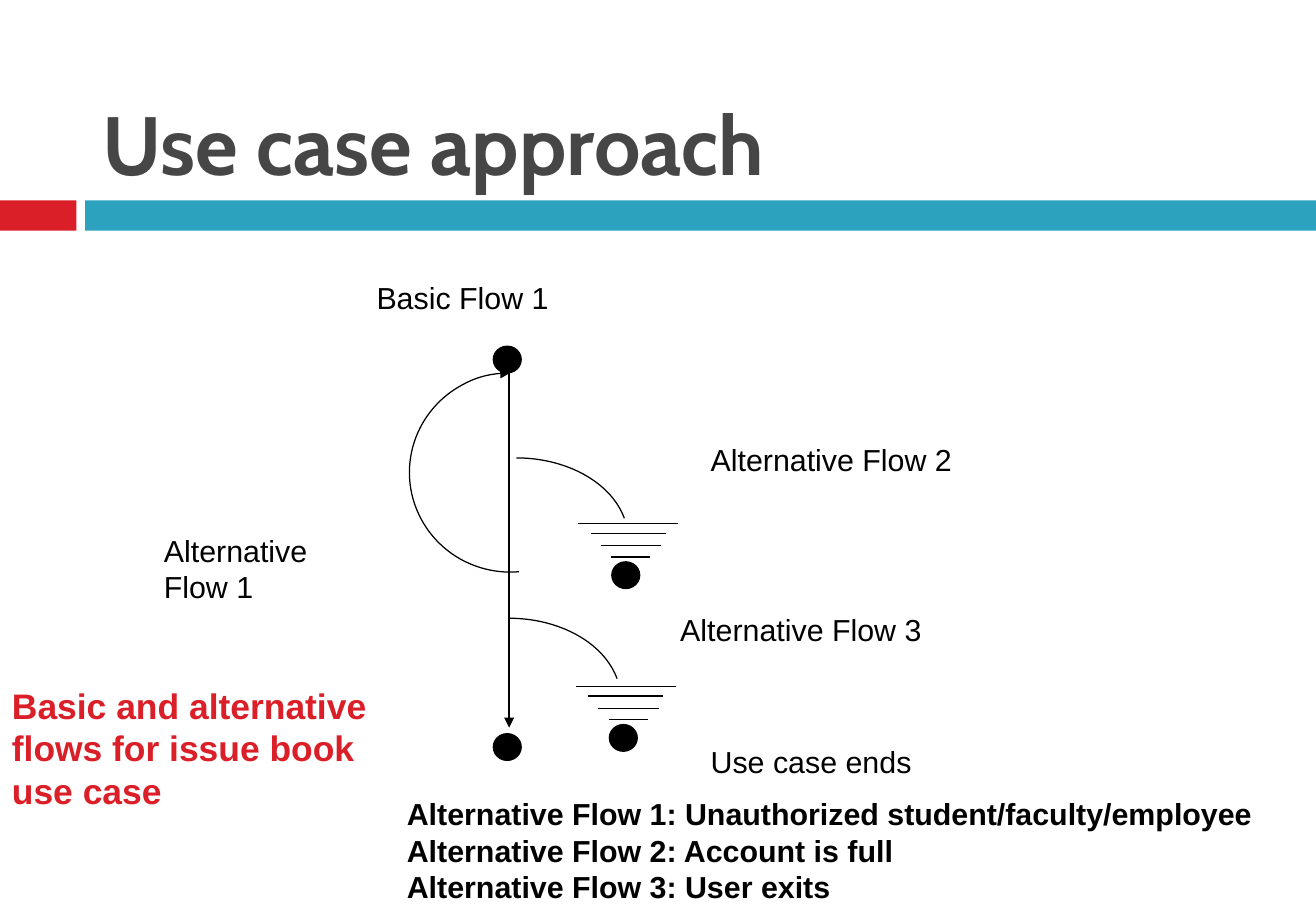
from dataclasses import dataclass

from lxml import etree
from pptx import Presentation
from pptx.dml.color import RGBColor
from pptx.enum.shapes import MSO_CONNECTOR, MSO_SHAPE
from pptx.enum.text import MSO_ANCHOR, PP_ALIGN
from pptx.oxml.ns import qn
from pptx.util import Inches, Pt

RECT, OVAL, ARC = MSO_SHAPE.RECTANGLE, MSO_SHAPE.OVAL, MSO_SHAPE.ARC
STRAIGHT = MSO_CONNECTOR.STRAIGHT
TOP, MIDDLE, BOTTOM = MSO_ANCHOR.TOP, MSO_ANCHOR.MIDDLE, MSO_ANCHOR.BOTTOM
LEFT = PP_ALIGN.LEFT


@dataclass(frozen=True)
class Theme:
    red: str = "DA1F28"
    teal: str = "2DA2BF"
    grey: str = "464646"
    black: str = "000000"
    white: str = "FFFFFF"
    title_font: str = "Cabin"
    body_font: str = "Arial"
    title_size: int = 49
    note_size: int = 21
    body_size: int = 18
    line_width: float = 0.75


THEME = Theme()
GRID = 0.25  # inches per column and per row; all lengths below count these

TITLE = ("Use case approach", (2.88, 0.68, 38.64, 5.88))
BARS = [(THEME.red, (0, 6.6, 2.52, 1)), (THEME.teal, (2.8, 6.6, 40.52, 1))]
LABELS = [
    ("Basic Flow 1", (12, 9, 9.16, 1.96)),
    ("Alternative Flow 1", (5, 17.32, 7.8, 2.84)),
    ("Alternative Flow 2", (23, 14.32, 14, 1.64)),
    ("Alternative Flow 3", (22, 19.92, 14, 1.64)),
    ("Use case ends", (23, 24.28, 10.12, 1.64)),
]
NOTE = ("Basic and alternative flows for issue book use case", (0, 22.32, 14, 4.6))
LEGEND = ([
    "Alternative Flow 1: Unauthorized student/faculty/employee",
    "Alternative Flow 2: Account is full",
    "Alternative Flow 3: User exits",
], (13, 26, 28.64, 4))

BASIC_FLOW = ((16.76, 12.28), (16.76, 23.96))
DOT_SIZE = (0.92, 0.88)
FLOW_DOTS = [(16.24, 11.4), (16.24, 24.16)]
# centre, radii, start and end angle (clockwise from the right), arrow at end
ARCS = [
    ((16.8, 15.56), (3.32, 3.28), 85, 270, True),
    ((17, 17.76), (3.68, 2.68), 270, 349, False),
    ((16.76, 23.04), (3.68, 2.68), 270, 349, False),
]
EXITS = [(19.04, 17.24), (18.96, 22.6)]
EXIT_RULES = [(0, 0, 3.28), (0.4, 0.32, 2.48), (0.74, 0.72, 1.98), (1.08, 1.1, 1.28)]
EXIT_DOT = (1.1, 1.26)


def grid(*counts):
    return [Inches(n * GRID) for n in counts]


def rgb(colour):
    return RGBColor.from_string(colour)


def style_line(sp, colour, arrow=False):
    sp.line.color.rgb = rgb(colour)
    sp.line.width = Pt(THEME.line_width)
    if arrow:
        etree.SubElement(sp.line._get_or_add_ln(), qn("a:tailEnd"), type="triangle")


def add_shape(slide, kind, box, fill, line=None):
    sp = slide.shapes.add_shape(kind, *grid(*box))
    sp.shadow.inherit = False
    if fill:
        sp.fill.solid()
        sp.fill.fore_color.rgb = rgb(fill)
    else:
        sp.fill.background()
    if line:
        style_line(sp, line)
    else:
        sp.line.fill.background()
    return sp


def add_line(slide, start, end, arrow=False):
    line = slide.shapes.add_connector(STRAIGHT, *grid(*start, *end))
    style_line(line, THEME.black, arrow)
    etree.SubElement(line._element.spPr, qn("a:effectLst"))


def add_arc(slide, centre, radii, start, end, arrow):
    (cx, cy), (rx, ry) = centre, radii
    sp = add_shape(slide, ARC, (cx - rx, cy - ry, 2 * rx, 2 * ry), None)
    # An angle is stored in 60000ths of a degree, an adjustment in 100000ths
    sp.adjustments[0], sp.adjustments[1] = start * 0.6, end * 0.6
    style_line(sp, THEME.black, arrow)


def add_dot(slide, corner):
    add_shape(slide, OVAL, (*corner, *DOT_SIZE), THEME.black, THEME.black)


def write(sp, lines, size, colour=THEME.black, font=THEME.body_font,
          bold=False, anchor=TOP, wrap=True):
    tf = sp.text_frame
    tf.word_wrap = wrap
    tf.vertical_anchor = anchor
    for i, text in enumerate(lines):
        p = tf.add_paragraph() if i else tf.paragraphs[0]
        p.alignment = LEFT
        r = p.add_run()
        r.text = text
        r.font.name, r.font.size, r.font.bold = font, Pt(size), bold
        r.font.color.rgb = rgb(colour)
    return tf


def add_text(slide, box, lines, size, **style):
    return write(slide.shapes.add_textbox(*grid(*box)), lines, size, **style)


def add_flow_diagram(slide):
    for text, box in LABELS:
        sp = add_shape(slide, RECT, box, THEME.white, THEME.white)
        write(sp, [text], THEME.body_size)
    add_line(slide, *BASIC_FLOW, arrow=True)
    for corner in FLOW_DOTS:
        add_dot(slide, corner)
    for arc in ARCS:
        add_arc(slide, *arc)
    for x, y in EXITS:
        for dx, dy, width in EXIT_RULES:
            add_line(slide, (x + dx, y + dy), (x + dx + width, y + dy))
        add_dot(slide, (x + EXIT_DOT[0], y + EXIT_DOT[1]))


def main():
    prs = Presentation()
    prs.slide_width, prs.slide_height = Inches(10.83), Inches(7.5)
    slide = prs.slides.add_slide(prs.slide_layouts[6])

    for colour, box in BARS:
        add_shape(slide, RECT, box, colour)
    title, box = TITLE
    tf = add_text(slide, box, [title], THEME.title_size, colour=THEME.grey,
                  font=THEME.title_font, bold=True, anchor=BOTTOM)
    tf.margin_left = tf.margin_right = Inches(0.12)
    tf.margin_top = tf.margin_bottom = Inches(0.06)

    add_flow_diagram(slide)

    note, box = NOTE
    add_text(slide, box, [note], THEME.note_size, colour=THEME.red,
             bold=True, anchor=MIDDLE)
    legend, box = LEGEND
    add_text(slide, box, legend, THEME.body_size, bold=True,
             anchor=MIDDLE, wrap=False)
    prs.save("out.pptx")


if __name__ == "__main__":
    main()
